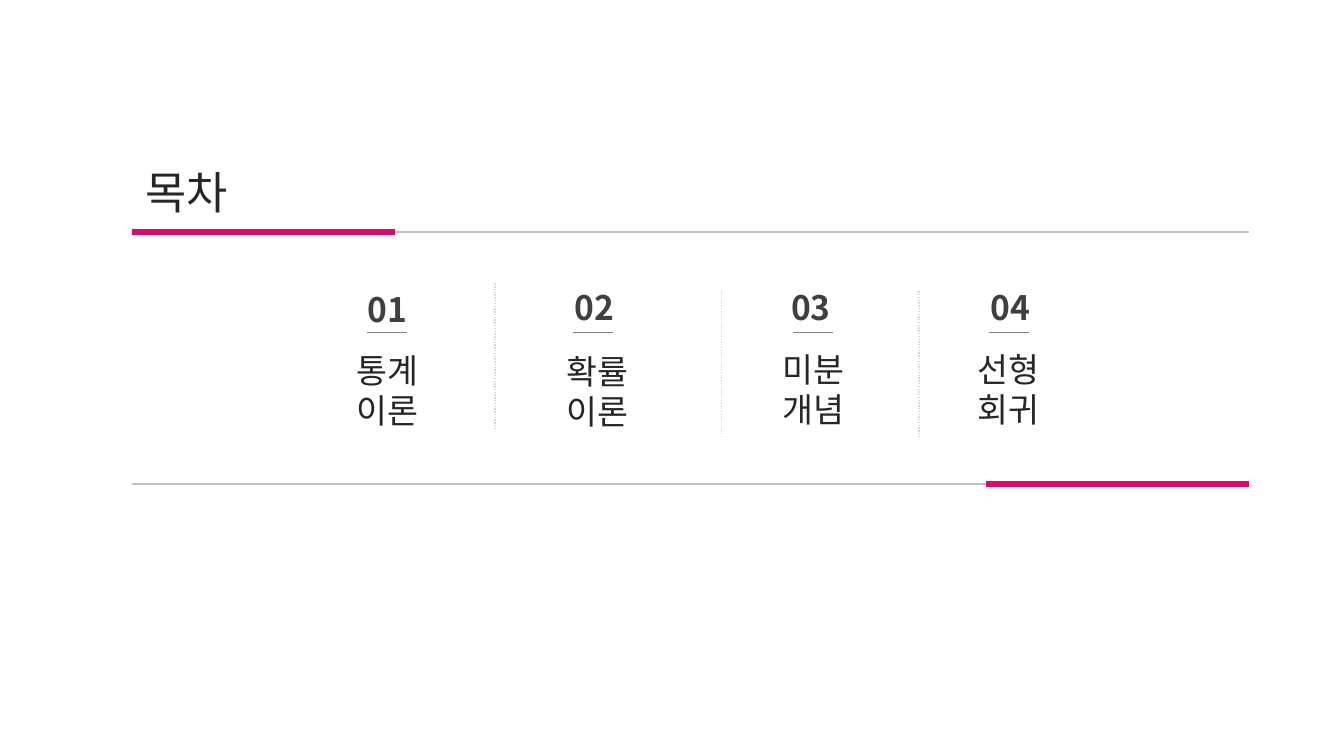
"""Build the table-of-contents slide with four numbered chapters."""
from dataclasses import dataclass

from lxml import etree
from pptx import Presentation
from pptx.dml.color import RGBColor
from pptx.enum.dml import MSO_LINE
from pptx.enum.shapes import MSO_CONNECTOR
from pptx.enum.text import MSO_ANCHOR, MSO_AUTO_SIZE, PP_ALIGN
from pptx.oxml.ns import qn
from pptx.util import Cm, Pt

STRAIGHT = MSO_CONNECTOR.STRAIGHT
DOTTED = MSO_LINE.ROUND_DOT
TOP = MSO_ANCHOR.TOP
NO_FIT = MSO_AUTO_SIZE.NONE
LEFT, CENTER = PP_ALIGN.LEFT, PP_ALIGN.CENTER

FONT = "Noto Sans CJK KR"
INK, NUMBER_INK = "262626", "3F3F3F"
ACCENT, RULE, DIVIDER, UNDERLINE = "E00868", "BFBFBF", "D8D8D8", "7F7F7F"


@dataclass
class Stroke:
    """A straight line in centimetres, with its colour and weight in points."""
    x1: float
    y1: float
    x2: float
    y2: float
    color: str
    weight: float = 1
    dotted: bool = False


@dataclass
class Chapter:
    """A numbered chapter with the positions of its parts in centimetres."""
    number: str
    words: list[str]
    number_left: float
    number_top: float
    underline_left: float
    words_left: float
    words_top: float
    words_width: float


FRAME = [
    Stroke(6.76, 5.84, 31.47, 5.84, RULE, 1.5),
    Stroke(3.33, 5.84, 9.96, 5.84, ACCENT, 4.5),
    Stroke(3.33, 12.19, 28.04, 12.19, RULE, 1.5),
    Stroke(24.84, 12.19, 31.47, 12.19, ACCENT, 4.5),
]
DIVIDERS = [
    Stroke(x, top, x, top + 3.66, DIVIDER, 1, True)
    for x, top in [(12.47, 7.14), (18.19, 7.34), (23.16, 7.34)]
]
CHAPTERS = [
    Chapter("01", ["통계", "이론"], 8.94, 7.11, 9.25, 7.52, 8.64, 4.5),
    Chapter("02", ["확률", "이론"], 14.15, 7.06, 14.45, 12.8, 8.66, 4.5),
    Chapter("03", ["미분", "개념"], 19.61, 7.06, 19.99, 18.19, 8.61, 4.6),
    Chapter("04", ["선형", "회귀"], 24.64, 7.06, 24.92, 23.14, 8.61, 4.57),
]


def rgb(value: str) -> RGBColor:
    """Return the colour for a hex string."""
    return RGBColor.from_string(value)


def draw_stroke(page, stroke: Stroke) -> None:
    """Draw one line without a shadow."""
    line = page.shapes.add_connector(
        STRAIGHT, Cm(stroke.x1), Cm(stroke.y1), Cm(stroke.x2), Cm(stroke.y2))
    line.line.color.rgb = rgb(stroke.color)
    line.line.width = Pt(stroke.weight)
    if stroke.dotted:
        line.line.dash_style = DOTTED
    etree.SubElement(line._element.spPr, qn("a:effectLst"))


def place(box, left: float, top: float, width: float, height: float) -> None:
    """Move and size a box in centimetres."""
    box.left, box.top = Cm(left), Cm(top)
    box.width, box.height = Cm(width), Cm(height)


def write(box, lines: list[str], size: int, color: str,
          align=LEFT, bold: bool = False) -> None:
    """Fill a box with one formatted paragraph per line."""
    frame = box.text_frame
    frame.word_wrap = True
    frame.auto_size = NO_FIT
    frame.vertical_anchor = TOP
    frame.margin_left = frame.margin_right = Cm(0.33)
    frame.margin_top = frame.margin_bottom = Cm(0.18)
    frame.text = "\n".join(lines)
    for para in frame.paragraphs:
        para.alignment = align
        para.font.name = FONT
        para.font.size = Pt(size)
        para.font.bold = bold
        para.font.color.rgb = rgb(color)


def draw_chapter(page, chapter: Chapter) -> None:
    """Draw a chapter's number, underline and words."""
    number = page.shapes.add_textbox(
        Cm(chapter.number_left), Cm(chapter.number_top), Cm(3.51), Cm(1.37))
    write(number, [chapter.number], 24, NUMBER_INK, bold=True)
    draw_stroke(page, Stroke(chapter.underline_left, 8.38,
                             chapter.underline_left + 1, 8.38, UNDERLINE))
    words = page.shapes.add_textbox(
        Cm(chapter.words_left), Cm(chapter.words_top),
        Cm(chapter.words_width), Cm(2.11))
    write(words, chapter.words, 24, INK, CENTER)


def main() -> None:
    """Build and save the deck."""
    deck = Presentation()
    deck.slide_width, deck.slide_height = Cm(33.87), Cm(19.05)
    page = deck.slides.add_slide(deck.slide_layouts[5])
    title = page.shapes.title
    place(title, 3.33, 3.96, 6.27, 1.52)
    write(title, ["목차"], 32, INK)
    for stroke in FRAME + DIVIDERS:
        draw_stroke(page, stroke)
    for chapter in CHAPTERS:
        draw_chapter(page, chapter)
    deck.save("out.pptx")


if __name__ == "__main__":
    main()
